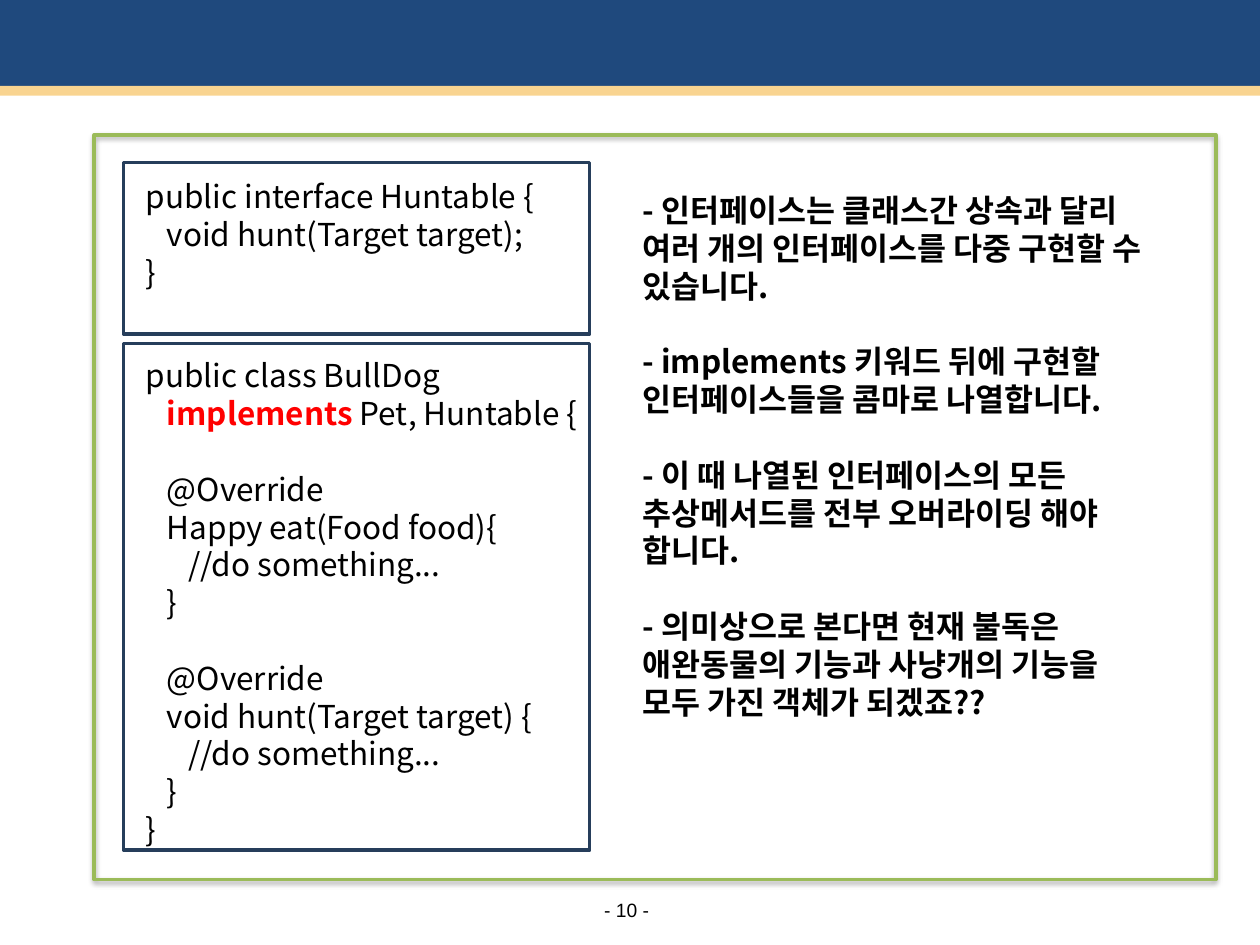
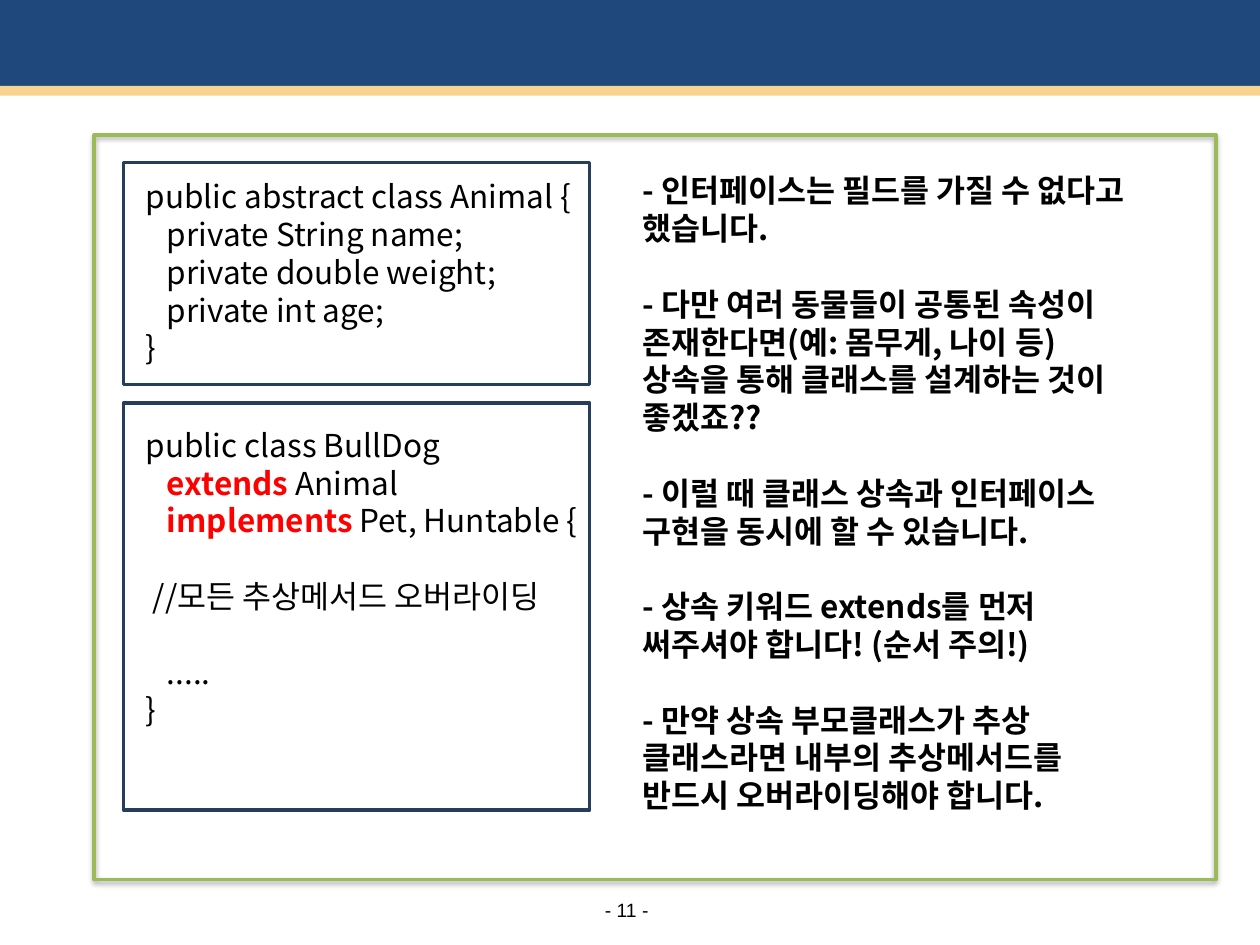
import lxml.etree
import pptx
import pptx.dml.color
import pptx.enum.shapes
import pptx.enum.text
import pptx.oxml.ns
import pptx.util

Cm = pptx.util.Cm
Pt = pptx.util.Pt
RGBColor = pptx.dml.color.RGBColor
Shape = pptx.enum.shapes.MSO_SHAPE
Anchor = pptx.enum.text.MSO_ANCHOR
Align = pptx.enum.text.PP_ALIGN
AutoSize = pptx.enum.text.MSO_AUTO_SIZE
qn = pptx.oxml.ns.qn

NAVY = RGBColor(0x1F, 0x49, 0x7D)
SAND = RGBColor(0xF9, 0xD4, 0x90)
GREEN = RGBColor(0x9B, 0xBB, 0x59)
INK = RGBColor(0x26, 0x3E, 0x5B)
BLACK = RGBColor(0, 0, 0)
RED = RGBColor(0xFF, 0, 0)

BODY_FONT = "Noto Sans CJK KR"
LINE_HEIGHT = Pt(21.6)
CODE_LEFT, CODE_WIDTH, CODE_INDENT = 2.49, 9.4, 0.2
NOTES_LEFT, NOTES_WIDTH = 12.7, 10.59

HUNTABLE = """public interface Huntable {
   void hunt(Target target);
}"""

BULLDOG_OVERRIDES = """public class BullDog
   *implements* Pet, Huntable {

   @Override
   Happy eat(Food food){
      //do something...
   }

   @Override
   void hunt(Target target) {
      //do something...
   }
}"""

MULTIPLE_NOTES = """- 인터페이스는 클래스간 상속과 달리 여러 개의 인터페이스를 다중 구현할 수 있습니다.

- implements 키워드 뒤에 구현할 인터페이스들을 콤마로 나열합니다.

- 이 때 나열된 인터페이스의 모든 추상메서드를 전부 오버라이딩 해야 합니다.

- 의미상으로 본다면 현재 불독은 애완동물의 기능과 사냥개의 기능을 모두 가진 객체가 되겠죠??"""

ANIMAL = """public abstract class Animal {
   private String name;
   private double weight;
   private int age;
}"""

BULLDOG_EXTENDS = """public class BullDog
   *extends* Animal
   *implements* Pet, Huntable {

 //모든 추상메서드 오버라이딩

   .....
}"""

INHERITANCE_NOTES = """- 인터페이스는 필드를 가질 수 없다고 했습니다.

- 다만 여러 동물들이 공통된 속성이 존재한다면(예: 몸무게, 나이 등)
상속을 통해 클래스를 설계하는 것이 좋겠죠??

- 이럴 때 클래스 상속과 인터페이스 구현을 동시에 할 수 있습니다.

- 상속 키워드 extends를 먼저 써주셔야 합니다! (순서 주의!)

- 만약 상속 부모클래스가 추상 클래스라면 내부의 추상메서드를 반드시 오버라이딩해야 합니다."""


def apply_format(target, values):
    for name, value in values.items():
        setattr(target, name, value)


class LectureDeck:
    def __init__(self):
        self.deck = pptx.Presentation()
        apply_format(self.deck, {"slide_width": Cm(25.4), "slide_height": Cm(19.05)})
        self.page = None

    def add_page(self, number):
        self.page = self.deck.slides.add_slide(self.deck.slide_layouts[6])
        self.band(-0.08, 1.93, NAVY)
        self.page_number(number)
        self.band(1.73, 0.2, SAND)
        self.frame()

    def shape(self, kind, left, top, width, height):
        box = self.page.shapes.add_shape(kind, Cm(left), Cm(top), Cm(width), Cm(height))
        box.shadow.inherit = False
        return box

    def band(self, top, height, color):
        box = self.shape(Shape.RECTANGLE, 0, top, 25.4, height)
        box.fill.solid()
        box.fill.fore_color.rgb = color
        box.line.fill.background()

    def outline(self, kind, left, top, width, height, color):
        box = self.shape(kind, left, top, width, height)
        box.fill.background()
        box.line.color.rgb = color
        box.line.width = Pt(2)
        return box

    def frame(self):
        box = self.outline(Shape.FLOWCHART_PROCESS, 1.9, 2.72, 22.61, 15.01, GREEN)
        effects = box._element.spPr.find(qn("a:effectLst"))
        shadow = lxml.etree.SubElement(
            effects, qn("a:outerShdw"), blurRad=str(Pt(3.1)), dist=str(Pt(1.8)),
            dir="5400000", rotWithShape="0")
        color = lxml.etree.SubElement(shadow, qn("a:srgbClr"), val=str(BLACK))
        lxml.etree.SubElement(color, qn("a:alpha"), val="35000")

    def text_frame(self, left, top, width, height, **values):
        box = self.page.shapes.add_textbox(Cm(left), Cm(top), Cm(width), Cm(height))
        apply_format(box.text_frame, {
            "word_wrap": True, "auto_size": AutoSize.SHAPE_TO_FIT_TEXT, **values})
        return box.text_frame

    def span(self, para, text, color=BLACK, **values):
        span = para.add_run()
        span.text = text
        apply_format(span.font, {"name": BODY_FONT, "size": Pt(18), "bold": False, **values})
        span.font.color.rgb = color
        lxml.etree.SubElement(
            span.font._element, qn("a:ea"), typeface=span.font.name)

    def page_number(self, number):
        frame = self.text_frame(
            12.09, 18.11, 1.09, 0.48, word_wrap=False, vertical_anchor=Anchor.MIDDLE,
            margin_left=0, margin_right=0, margin_top=0, margin_bottom=0)
        para = frame.paragraphs[0]
        para.alignment = Align.CENTER
        self.span(para, f"- {number} -", name="Arial", size=Pt(11))

    def lines(self, frame, text, bold=False):
        para, gap = None, 0
        for line in text.splitlines():
            if not line:
                gap = LINE_HEIGHT
                continue
            para = frame.add_paragraph() if para else frame.paragraphs[0]
            apply_format(para, {"line_spacing": LINE_HEIGHT, "space_before": gap})
            gap = 0
            for index, part in enumerate(line.split("*")):
                keyword = index % 2 == 1
                if part:
                    self.span(para, part, RED if keyword else BLACK, bold=bold or keyword)

    def code(self, text, top, height, text_top, text_height):
        frame = self.text_frame(
            CODE_LEFT + CODE_INDENT, text_top, CODE_WIDTH, text_height)
        self.lines(frame, text)
        self.outline(Shape.RECTANGLE, CODE_LEFT, top, CODE_WIDTH, height, INK)

    def notes(self, text, top, height):
        frame = self.text_frame(NOTES_LEFT, top, NOTES_WIDTH, height)
        self.lines(frame, text, bold=True)


def main():
    lecture = LectureDeck()

    lecture.add_page(10)
    lecture.code(BULLDOG_OVERRIDES, 6.93, 10.21, 7.06, 11.68)
    lecture.notes(MULTIPLE_NOTES, 3.73, 10.92)
    lecture.code(HUNTABLE, 3.28, 3.45, 3.45, 2.51)

    lecture.add_page(11)
    lecture.code(BULLDOG_EXTENDS, 8.13, 8.2, 8.46, 7.87)
    lecture.notes(INHERITANCE_NOTES, 3.33, 13.21)
    lecture.code(ANIMAL, 3.28, 4.47, 3.45, 4.04)

    lecture.deck.save("out.pptx")


if __name__ == "__main__":
    main()
